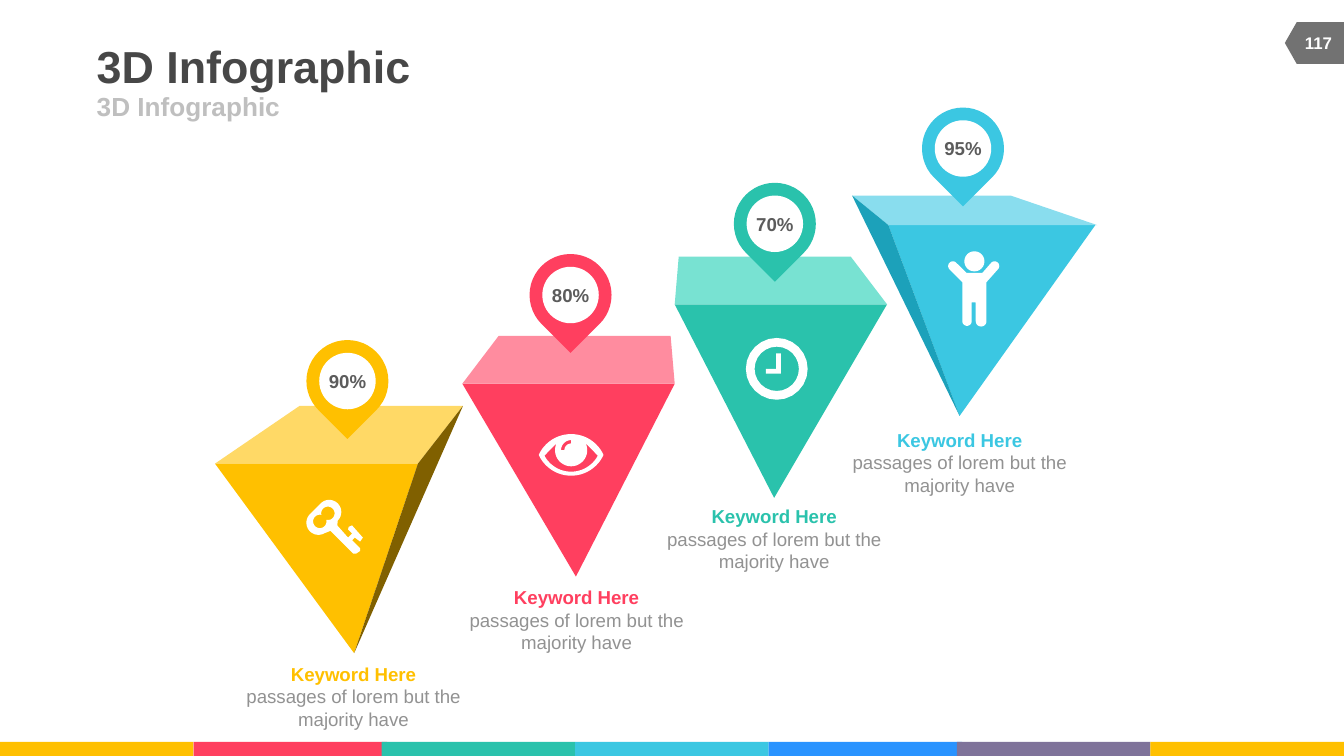
import math
from pptx import Presentation
from pptx import util as u
from pptx.dml.color import RGBColor
from pptx.enum import shapes, text

PX = 4572
KIND = shapes.MSO_SHAPE
GOLD, RED, TEAL, SKY = "FFC000", "FF3F5F", "2AC2AC", "3BC7E2"
WHITE, GREY = "FFFFFF", "929292"


def px(n):
    return u.Emu(round(n * PX))


def paint(item, tint):
    item.shadow.inherit = False
    item.fill.solid()
    item.fill.fore_color.rgb = RGBColor.from_string(tint)
    item.line.fill.background()


def shape(slide, kind, x, y, w, h, tint, turn=0):
    item = slide.shapes.add_shape(kind, px(x), px(y), px(w), px(h))
    item.rotation = turn
    paint(item, tint)
    return item


def free(slide, x, y, loops, tint):
    spots = [[(px(x + a), px(y + b)) for a, b in loop] for loop in loops]
    pen = slide.shapes.build_freeform(*spots[0][0])
    for i, loop in enumerate(spots):
        if i:
            pen.move_to(*loop[0])
        pen.add_line_segments(loop[1:], close=True)
    paint(pen.convert_to_shape(), tint)


def arc(x, y, r, start, end):
    steps = 24
    turns = [math.radians(start + (end - start) * i / steps) for i in range(steps + 1)]
    return [(x + r * math.cos(t), y + r * math.sin(t)) for t in turns]


def write(frame, lines, mid=True, align=text.PP_ALIGN.CENTER):
    frame.word_wrap = True
    frame.margin_left = frame.margin_right = 0
    frame.margin_top = frame.margin_bottom = 0
    frame.vertical_anchor = text.MSO_ANCHOR.MIDDLE if mid else text.MSO_ANCHOR.TOP
    for i, (words, size, tint, bold) in enumerate(lines):
        para = frame.add_paragraph() if i else frame.paragraphs[0]
        para.alignment = align
        run = para.add_run()
        run.text = words
        run.font.name = "Arial"
        run.font.size = u.Pt(size)
        run.font.bold = bold
        run.font.color.rgb = RGBColor.from_string(tint)


def label(slide, x, y, w, h, lines, **look):
    box = slide.shapes.add_textbox(px(x), px(y), px(w), px(h))
    write(box.text_frame, lines, **look)


def header(slide, x, y):
    left = text.PP_ALIGN.LEFT
    label(slide, x, y, 1234, 78, [("3D Infographic", 24, "474747", True)], align=left)
    label(slide, x, y + 78, 900, 44, [("3D Infographic", 14, "BFBFBF", True)], align=left)


def badge(slide, x, y):
    shape(slide, KIND.FLOWCHART_OFFPAGE_CONNECTOR, x + 13, y - 13, 62, 88, "727272", 90)
    label(slide, x + 8, y + 1, 84, 60, [("117", 9, WHITE, True)])


def footer(slide, y):
    tints = [GOLD, RED, TEAL, SKY, "2993FF", "7F739A", GOLD]
    for x, tint in zip([0, 288, 568, 856, 1144, 1424, 1712], tints):
        shape(slide, KIND.RECTANGLE, x, y, 288, 21, tint)


def solid(slide, x, y, faces):
    for tint, spots in faces:
        free(slide, x, y, [spots], tint)


def pin(slide, x, y, share, tint):
    shape(slide, KIND.TEAR, x, y, 122, 122, tint, 135)
    disc = shape(slide, KIND.OVAL, x + 19, y + 19, 84, 84, WHITE)
    write(disc.text_frame, [(share, 10, "5C5C5C", True)])


def note(slide, x, y, tint):
    lines = [("Keyword Here", 10, tint, True),
             ("passages of lorem but the majority have", 10, GREY, False)]
    label(slide, x, y, 412, 100, lines, mid=False)


def key():
    head = arc(18, 34, 18, 60, 225) + arc(34, 18, 18, 225, 405)
    stem = [(46, 38), (62, 56), (68, 50), (62, 44), (63, 40), (68, 38), (84, 56), (80, 62),
            (72, 56), (68, 60), (80, 72), (80, 76), (74, 80), (70, 80), (36, 46)]
    return [head + stem, arc(32, 20, 10, 167, 463) + arc(20, 32, 10, -13, 283)]


def eye():
    return [arc(48, 53, 53, 205, 335) + arc(48, 9, 53, 25, 155),
            arc(48, 11, 45, 28, 152) + arc(48, 24, 24, 205, -25),
            arc(48, 24, 15, 270, 180) + arc(48, 24, 10, 180, 270)]


def clock():
    hands = [(52, 22), (45, 22), (45, 45), (30, 45), (30, 52), (52, 52)]
    return [arc(46, 45, 46, 0, 360), arc(46, 45, 33, 0, 360), hands]


def man():
    body = (arc(70, 22, 7, 225, 405) + [(58, 46)] + arc(50, 104, 8, 0, 180)
            + [(42, 76), (36, 76)] + arc(29, 104, 7, 0, 180) + [(22, 46)]
            + arc(8, 22, 7, 135, 315) + [(28, 32), (52, 32)])
    return [body, arc(40, 15, 15, 0, 360)]


def step(slide, x, y, plan):
    tint = plan["tint"]
    solid(slide, x, y, plan["faces"])
    dx, dy = plan["pin"]
    pin(slide, x + dx, y + dy, plan["share"], tint)
    dx, dy = plan["icon"]
    free(slide, x + dx, y + dy, plan["draw"](), WHITE)
    dx, dy = plan["note"]
    note(slide, x + dx, y + dy, tint)


STEPS = [
    (320, 604, dict(
        tint=GOLD, share="90%", draw=key, pin=(136, -98), icon=(136, 140), note=(0, 382),
        faces=[("FFD966", [(0, 86), (126, 0), (369, 0), (302, 86)]),
               (GOLD, [(0, 86), (302, 86), (207, 368)]),
               ("806000", [(207, 368), (302, 86), (369, 0)])])),
    (688, 500, dict(
        tint=RED, share="80%", draw=eye, pin=(100, -122), icon=(114, 146), note=(-36, 372),
        faces=[(RED, [(0, 71), (316, 71), (169, 358)]),
               ("FF8C9F", [(316, 71), (0, 71), (54, 0), (310, 0)])])),
    (1004, 382, dict(
        tint=TEAL, share="70%", draw=clock, pin=(88, -110), icon=(106, 122), note=(-58, 370),
        faces=[(TEAL, [(316, 71), (0, 71), (148, 359)]),
               ("78E2D2", [(0, 71), (316, 71), (262, 0), (6, 0)])])),
    (1268, 291, dict(
        tint=SKY, share="95%", draw=man, pin=(104, -131), icon=(142, 83), note=(-46, 347),
        faces=[(SKY, [(54, 44), (362, 44), (160, 328)]),
               ("89DDEE", [(0, 0), (236, 0), (365, 44), (54, 44)]),
               ("1CA1BA", [(0, 0), (54, 44), (160, 328)])])),
]


def main():
    deck = Presentation()
    deck.slide_width, deck.slide_height = px(2000), px(1125)
    slide = deck.slides.add_slide(deck.slide_layouts[6])
    footer(slide, 1104)
    badge(slide, 1912, 33)
    header(slide, 144, 58)
    for x, y, plan in STEPS:
        step(slide, x, y, plan)
    deck.save("out.pptx")


if __name__ == "__main__":
    main()
